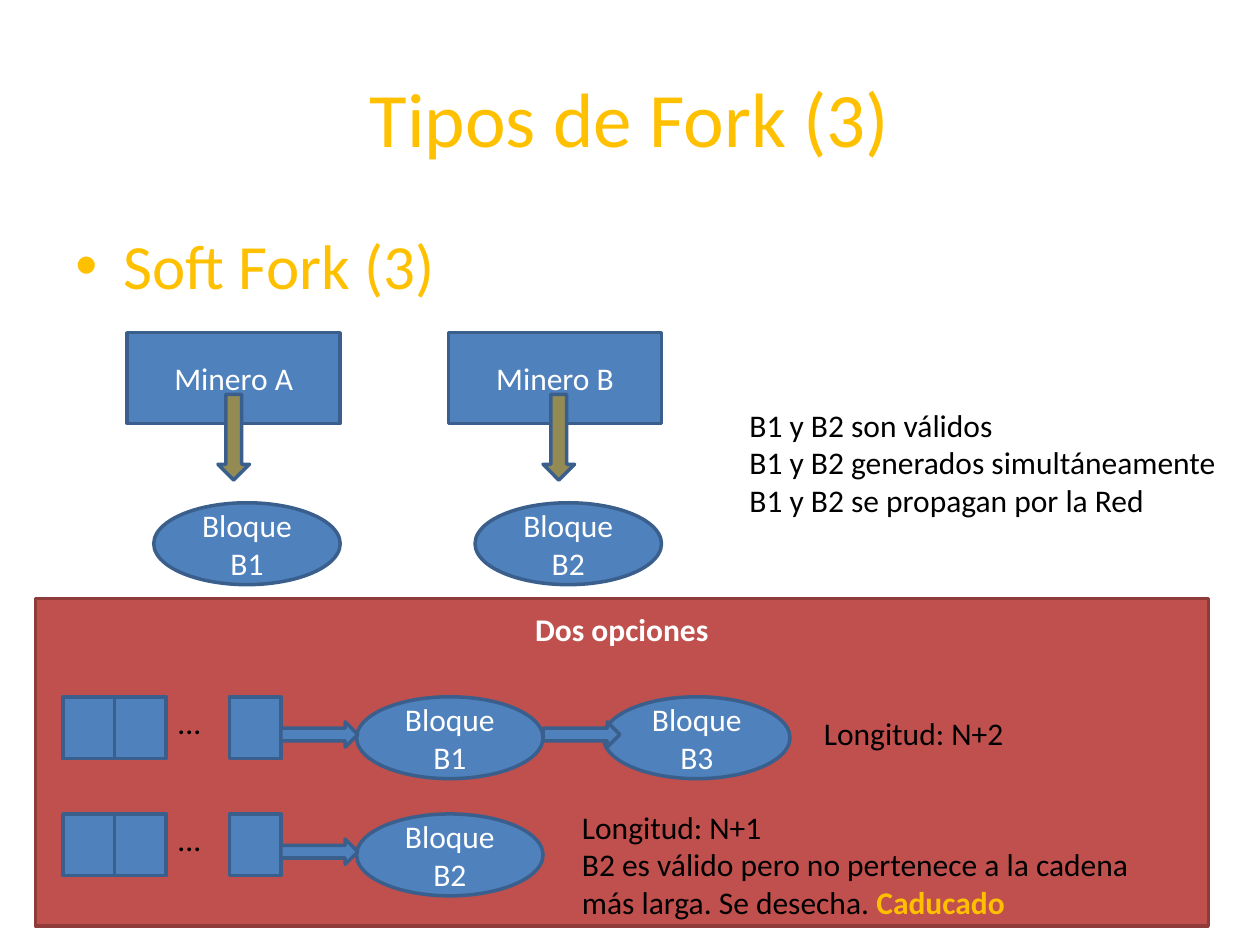
from dataclasses import dataclass

from lxml import etree
from pptx import Presentation
from pptx import util as u
from pptx.dml.color import RGBColor
from pptx.enum import shapes, text
from pptx.oxml.ns import qn

PX = 9144  # 100 px to the inch
FONT = "Calibri"
BLUE = RGBColor(0x4F, 0x81, 0xBD)
NAVY = RGBColor(0x3A, 0x5F, 0x8C)
RED = RGBColor(0xC0, 0x50, 0x4D)
WINE = RGBColor(0x8E, 0x3B, 0x39)
OLIVE = RGBColor(0x94, 0x8A, 0x54)
GOLD = RGBColor(0xFF, 0xC0, 0x00)
WHITE = RGBColor(0xFF, 0xFF, 0xFF)
BLACK = RGBColor(0x00, 0x00, 0x00)

KIND = shapes.MSO_SHAPE
ALIGN = text.PP_ALIGN
ANCHOR = text.MSO_ANCHOR


@dataclass(frozen=True)
class Box:
    x: int
    y: int
    w: int
    h: int

    def emu(self) -> list[int]:
        return [v * PX for v in (self.x, self.y, self.w, self.h)]


@dataclass(frozen=True)
class Run:
    words: str
    color: RGBColor = BLACK
    size: int = 18
    bold: bool = False


@dataclass(frozen=True)
class Miner:
    x: int
    name: str
    arrow: int
    block: str


@dataclass(frozen=True)
class Chain:
    y: int
    blocks: tuple[str, ...]


def write(par, runs: list[Run], align=ALIGN.LEFT) -> None:
    par.alignment = align
    for item in runs:
        run = par.add_run()
        run.text = item.words
        font = run.font
        font.name = FONT
        font.size = u.Pt(item.size)
        font.bold = item.bold
        font.color.rgb = item.color


def shape(slide, kind, box: Box, label: str = "", fill=BLUE, line=NAVY, bold=False):
    item = slide.shapes.add_shape(kind, *box.emu())
    item.shadow.inherit = False
    item.fill.solid()
    item.fill.fore_color.rgb = fill
    item.line.color.rgb = line
    item.line.width = u.Pt(2)
    if label:
        frame = item.text_frame
        frame.vertical_anchor = ANCHOR.MIDDLE
        write(frame.paragraphs[0], [Run(label, WHITE, bold=bold)], ALIGN.CENTER)
    return item


def note(slide, box: Box, lines: list[list[Run]], align=ALIGN.LEFT, anchor=ANCHOR.TOP):
    frame = slide.shapes.add_textbox(*box.emu()).text_frame
    frame.word_wrap = True
    frame.vertical_anchor = anchor
    for i, runs in enumerate(lines):
        par = frame.add_paragraph() if i else frame.paragraphs[0]
        write(par, runs, align)
    return frame


def bullet(par, indent: int) -> None:
    props = par._p.get_or_add_pPr()
    props.set("marL", str(indent * PX))
    props.set("indent", str(-indent * PX))
    etree.SubElement(props, qn("a:buFont")).set("typeface", "Arial")
    etree.SubElement(props, qn("a:buChar")).set("char", "•")


def mine(slide, miner: Miner) -> None:
    shape(slide, KIND.RECTANGLE, Box(miner.x, 264, 169, 72), miner.name)
    shape(slide, KIND.DOWN_ARROW, Box(miner.arrow, 313, 25, 68), fill=OLIVE)
    shape(slide, KIND.OVAL, Box(miner.x + 21, 399, 148, 65), miner.block)


def chain(slide, row: Chain) -> None:
    for x in (50, 91, 182):
        shape(slide, KIND.RECTANGLE, Box(x, row.y, 41, 49))
    note(slide, Box(131, row.y, 50, 40), [[Run("...")]])
    for i, label in enumerate(row.blocks):
        shape(slide, KIND.OVAL, Box(283 + 196 * i, row.y, 148, 65), label)
    for i in range(len(row.blocks)):
        shape(slide, KIND.RIGHT_ARROW, Box(223 + 208 * i, row.y + 20, 61, 20))


def main() -> None:
    deck = Presentation()
    deck.slide_width, deck.slide_height = 1000 * PX, 750 * PX
    slide = deck.slides.add_slide(deck.slide_layouts[6])

    # Title and topic
    note(slide, Box(50, 30, 900, 125), [[Run("Tipos de Fork (3)", GOLD, 44)]],
         ALIGN.CENTER, ANCHOR.MIDDLE)
    topic = note(slide, Box(50, 175, 900, 495), [[Run("Soft Fork (3)", GOLD, 36)]])
    bullet(topic.paragraphs[0], 38)

    # Miners and the blocks they produce
    for miner in (Miner(101, "Minero A", 173, "Bloque B1"),
                  Miner(356, "Minero B", 431, "Bloque B2")):
        mine(slide, miner)
    facts = ("B1 y B2 son válidos", "B1 y B2 generados simultáneamente",
             "B1 y B2 se propagan por la Red")
    note(slide, Box(585, 317, 404, 101), [[Run(fact)] for fact in facts])

    # Panel with the two outcomes
    panel = shape(slide, KIND.RECTANGLE, Box(28, 475, 931, 260), "Dos opciones",
                  RED, WINE, True)
    panel.text_frame.vertical_anchor = ANCHOR.TOP
    panel.text_frame.margin_top = 9 * PX
    for row in (Chain(553, ("Bloque B1", "Bloque B3")), Chain(646, ("Bloque B2",))):
        chain(slide, row)

    # Chain lengths
    note(slide, Box(644, 562, 168, 40), [[Run("Longitud: N+2")]])
    note(slide, Box(452, 636, 481, 101), [
        [Run("Longitud: N+1")],
        [Run("B2 es válido pero no pertenece a la cadena más larga. Se desecha. "),
         Run("Caducado", GOLD, bold=True)],
    ])

    deck.save("out.pptx")


if __name__ == "__main__":
    main()
